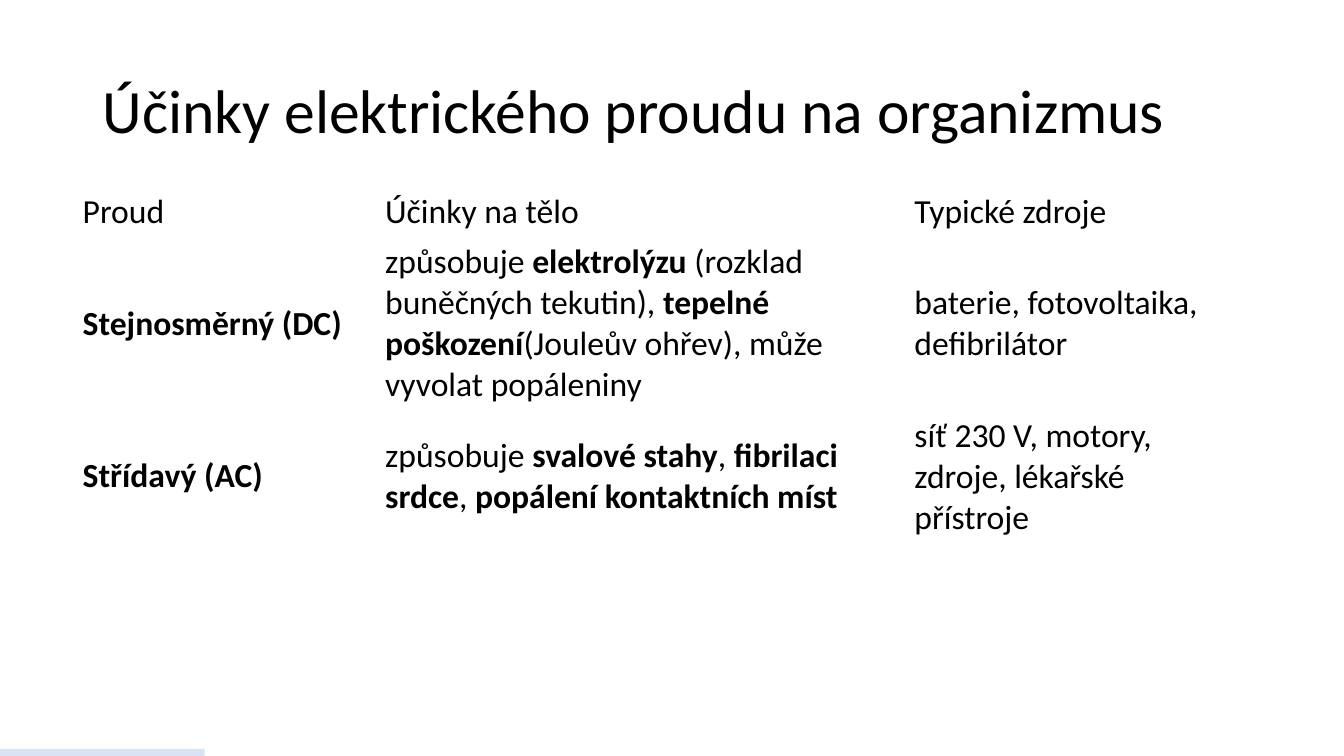
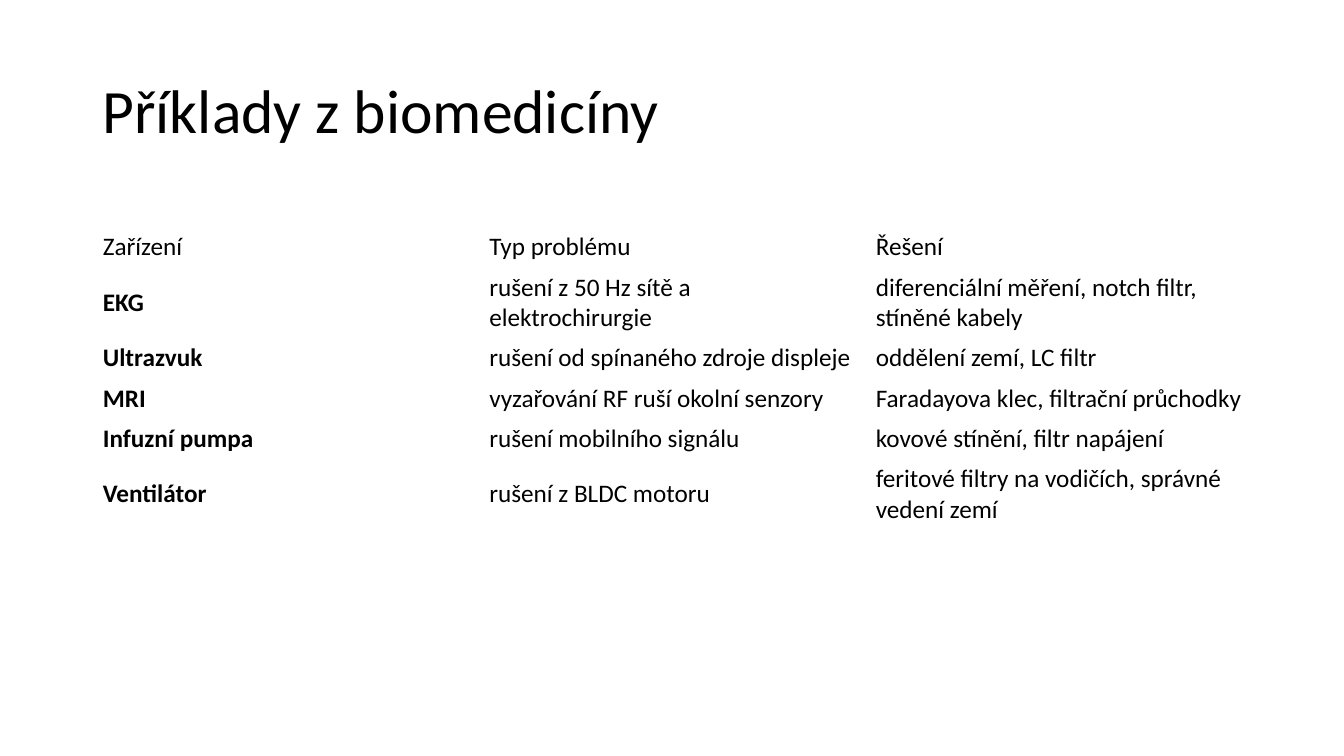
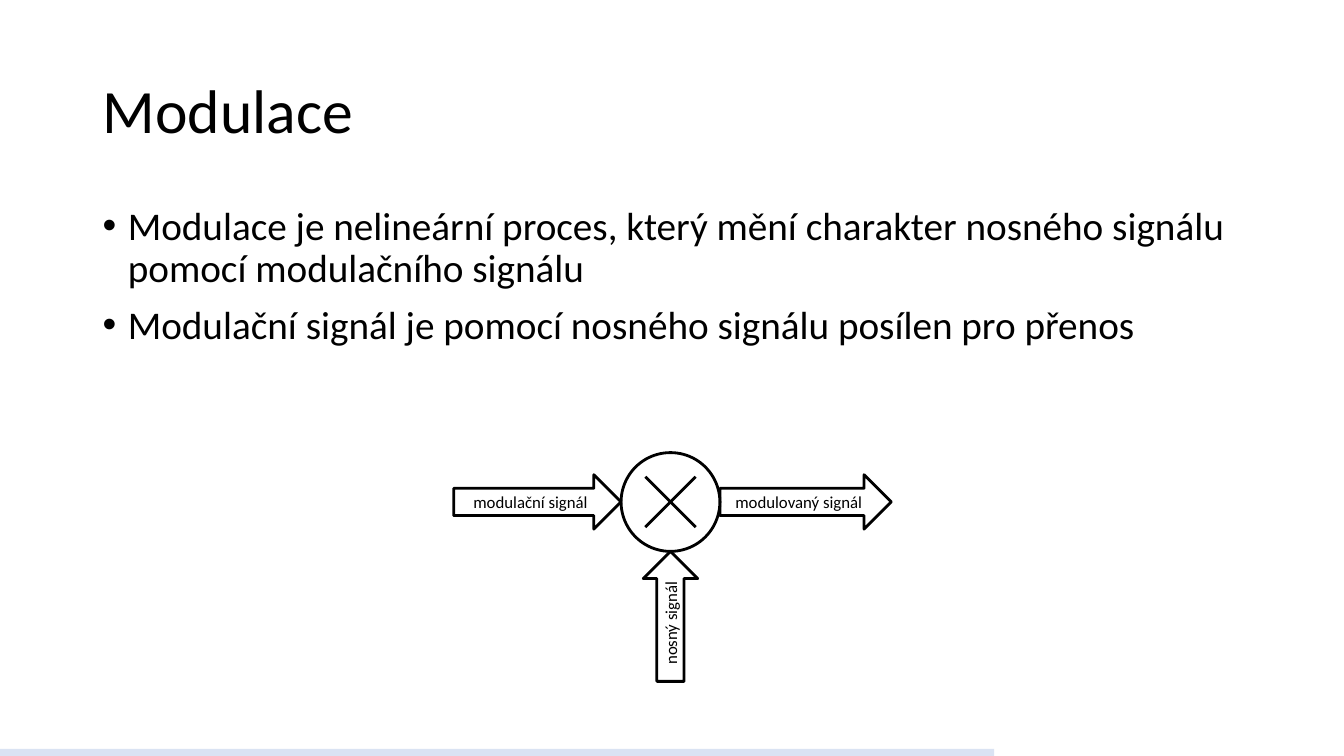
"""Build three lecture slides on current, interference and modulation."""
from lxml import etree
from pptx import Presentation
from pptx.dml.color import RGBColor
from pptx.enum import shapes, text
from pptx.oxml import ns
from pptx.util import Inches, Pt

BLACK = RGBColor(0x00, 0x00, 0x00)
WHITE = RGBColor(0xFF, 0xFF, 0xFF)
PALE_BLUE = RGBColor(0xDA, 0xE3, 0xF3)


class Deck:
    """Shared style and the slide being drawn."""

    font = "Calibri"
    width, height = 13.33, 7.5
    margin, content_width = 0.92, 11.5
    bar_height = 0.07
    line_width = Pt(2)

    def __init__(self):
        """Start an empty wide presentation."""
        self.presentation = Presentation()
        self.presentation.slide_width = Inches(self.width)
        self.presentation.slide_height = Inches(self.height)

    def add_slide(self, title, progress=0):
        """Add a slide with its title and progress bar."""
        slide = self.presentation.slides.add_slide(self.presentation.slide_layouts[6])
        self.shapes = slide.shapes
        frame = self.add_text_frame(0.4, 1.45)
        frame.vertical_anchor = text.MSO_ANCHOR.MIDDLE
        frame.text = title
        frame.paragraphs[0].line_spacing = 0.9
        self.style(frame.paragraphs[0].font, 44)
        if progress:
            bar = self.add_shape(shapes.MSO_SHAPE.RECTANGLE, 0, self.height - self.bar_height,
                                 progress, self.bar_height, PALE_BLUE)
            bar.line.fill.background()

    def start_group(self):
        """Collect the following shapes in a group."""
        self.shapes = self.shapes.add_group_shape().shapes

    def style(self, font, size, bold=False):
        """Apply the common font."""
        font.name, font.size, font.bold = self.font, Pt(size), bold
        font.color.rgb = BLACK

    def add_text_frame(self, top, height):
        """Add a wrapping text box over the content width."""
        box = self.shapes.add_textbox(Inches(self.margin), Inches(top),
                                      Inches(self.content_width), Inches(height))
        box.text_frame.word_wrap = True
        return box.text_frame

    def add_bullets(self, items, top, height):
        """Add a bulleted list."""
        frame = self.add_text_frame(top, height)
        frame.text = "\n".join(items)
        for index, paragraph in enumerate(frame.paragraphs):
            paragraph.line_spacing = 0.9
            paragraph.space_before = Pt(10 if index else 0)
            properties = paragraph._p.get_or_add_pPr()
            properties.set("marL", str(Inches(0.25)))
            properties.set("indent", str(Inches(-0.25)))
            etree.SubElement(properties, ns.qn("a:buFont"), typeface="Arial")
            etree.SubElement(properties, ns.qn("a:buChar"), char="•")
            self.style(paragraph.font, 28)

    def add_table(self, rows, left, top, column_widths, row_heights, size):
        """Add a plain table; asterisks enclose bold text."""
        table = self.shapes.add_table(len(rows), len(column_widths), Inches(left), Inches(top),
                                      Inches(sum(column_widths)), Inches(sum(row_heights))).table
        table.first_row = table.horz_banding = False
        for column, width in zip(table.columns, column_widths):
            column.width = Inches(width)
        for row, height, values in zip(table.rows, row_heights, rows):
            row.height = Inches(height)
            for cell, value in zip(row.cells, values):
                cell.fill.background()
                cell.vertical_anchor = text.MSO_ANCHOR.MIDDLE
                paragraph = cell.text_frame.paragraphs[0]
                for index, part in enumerate(value.split("*")):
                    if part:
                        run = paragraph.add_run()
                        run.text = part
                        self.style(run.font, size, index % 2 == 1)

    def add_shape(self, kind, left, top, width, height, fill=WHITE):
        """Add a filled, outlined shape."""
        shape = self.shapes.add_shape(kind, Inches(left), Inches(top), Inches(width), Inches(height))
        shape.shadow.inherit = False
        shape.fill.solid()
        shape.fill.fore_color.rgb = fill
        shape.line.color.rgb = BLACK
        shape.line.width = self.line_width
        return shape

    def add_arrow(self, label, center_x, center_y, length, rotation=0):
        """Add a labelled block arrow around its centre."""
        thickness = 0.54
        arrow = self.add_shape(shapes.MSO_SHAPE.RIGHT_ARROW, center_x - length / 2,
                               center_y - thickness / 2, length, thickness)
        arrow.rotation = rotation
        arrow.text_frame.text = label
        arrow.text_frame.vertical_anchor = text.MSO_ANCHOR.MIDDLE
        paragraph = arrow.text_frame.paragraphs[0]
        paragraph.alignment = text.PP_ALIGN.CENTER
        self.style(paragraph.font, 12)

    def add_line(self, start_x, start_y, end_x, end_y):
        """Add a straight line."""
        line = self.shapes.add_connector(shapes.MSO_CONNECTOR.STRAIGHT, Inches(start_x),
                                         Inches(start_y), Inches(end_x), Inches(end_y))
        line.line.color.rgb = BLACK
        line.line.width = self.line_width
        etree.SubElement(line._element.spPr, ns.qn("a:effectLst"))

    def add_mixer(self, x, y, radius):
        """Add a circle holding a diagonal cross."""
        self.add_shape(shapes.MSO_SHAPE.OVAL, x - radius, y - radius, 2 * radius, 2 * radius)
        reach = 0.25
        for slope in (1, -1):
            self.add_line(x - reach, y - slope * reach, x + reach, y + slope * reach)


def main():
    """Draw the slides and save them."""
    deck = Deck()

    deck.add_slide("Účinky elektrického proudu na organizmus", progress=2.03)
    current_effects = [
        ("Proud", "Účinky na tělo", "Typické zdroje"),
        ("*Stejnosměrný (DC)*",
         "způsobuje *elektrolýzu* (rozklad buněčných tekutin), *tepelné poškození*"
         "(Jouleův ohřev), může vyvolat popáleniny",
         "baterie, fotovoltaika, defibrilátor"),
        ("*Střídavý (AC)*",
         "způsobuje *svalové stahy*, *fibrilaci srdce*, *popálení kontaktních míst*",
         "síť 230 V, motory, zdroje, lékařské přístroje"),
    ]
    deck.add_table(current_effects, 0.72, 1.85, (3, 5.25, 3.25), (0.5, 1.72, 1.31), 24)

    deck.add_slide("Příklady z biomedicíny")
    device_problems = [
        ("Zařízení", "Typ problému", "Řešení"),
        ("*EKG*", "rušení z 50 Hz sítě a elektrochirurgie",
         "diferenciální měření, notch filtr, stíněné kabely"),
        ("*Ultrazvuk*", "rušení od spínaného zdroje displeje", "oddělení zemí, LC filtr"),
        ("*MRI*", "vyzařování RF ruší okolní senzory", "Faradayova klec, filtrační průchodky"),
        ("*Infuzní pumpa*", "rušení mobilního signálu", "kovové stínění, filtr napájení"),
        ("*Ventilátor*", "rušení z BLDC motoru",
         "feritové filtry na vodičích, správné vedení zemí"),
    ]
    deck.add_table(device_problems, deck.margin, 2.25, [deck.content_width / 3] * 3,
                   (0.4, 0.7, 0.4, 0.4, 0.4, 0.7), 18)

    deck.add_slide("Modulace", progress=9.86)
    deck.add_bullets([
        "Modulace je nelineární proces, který mění charakter nosného signálu "
        "pomocí modulačního signálu",
        "Modulační signál je pomocí nosného signálu posílen pro přenos",
    ], 2, 4.76)
    deck.start_group()
    x, y, radius = 6.65, 4.98, 0.49
    input_length, output_length, carrier_length = 1.66, 1.7, 1.29
    deck.add_arrow("modulovaný signál", x + radius + output_length / 2, y, output_length)
    deck.add_mixer(x, y, radius)
    deck.add_arrow("modulační signál", x - radius - input_length / 2, y, input_length)
    deck.add_arrow("nosný signál", x, y + radius + carrier_length / 2, carrier_length, 270)

    deck.presentation.save("out.pptx")


if __name__ == "__main__":
    main()
